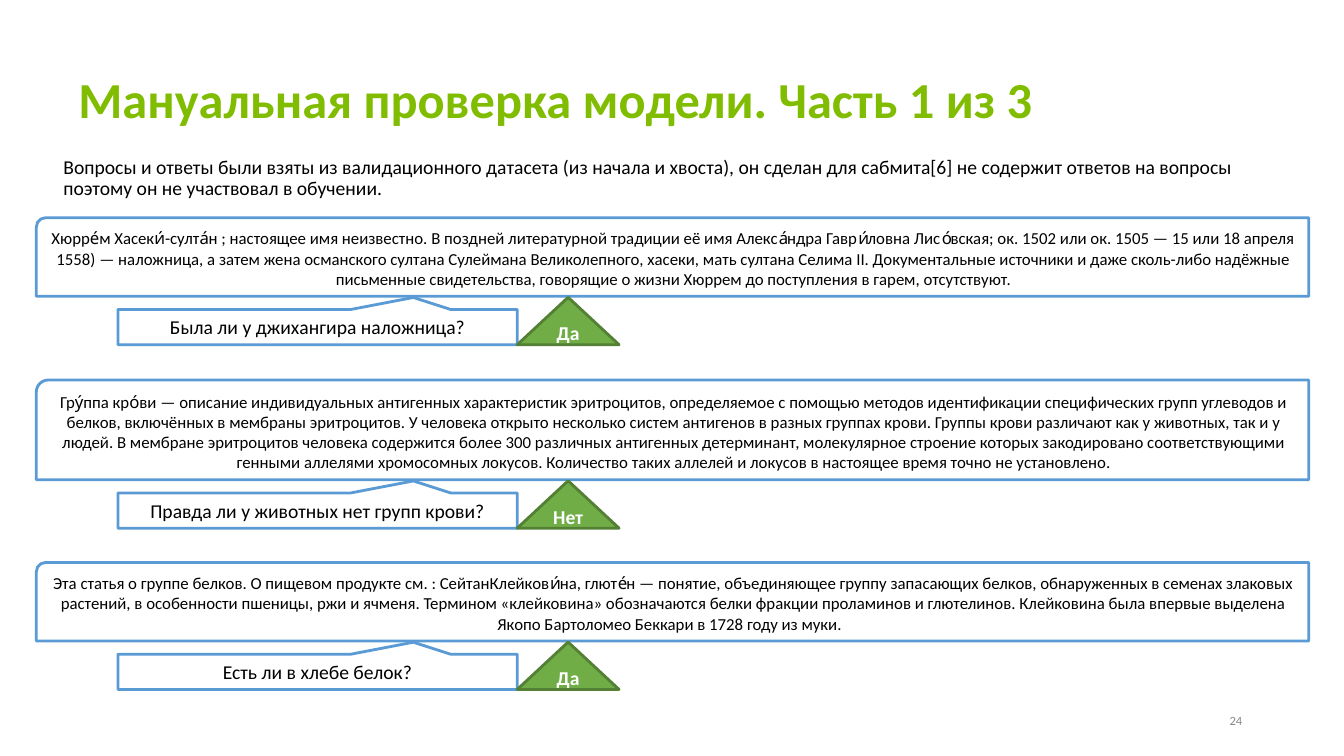
from pptx import Presentation
from pptx.dml.color import RGBColor
from pptx.enum.shapes import MSO_SHAPE
from pptx.enum.text import MSO_ANCHOR, PP_ALIGN
from pptx.util import Inches, Pt

LEFT, CENTER, RIGHT = PP_ALIGN.LEFT, PP_ALIGN.CENTER, PP_ALIGN.RIGHT
TOP, MIDDLE = MSO_ANCHOR.TOP, MSO_ANCHOR.MIDDLE
SNIP_ROUND = MSO_SHAPE.SNIP_ROUND_RECTANGLE
CALLOUT = MSO_SHAPE.RECTANGULAR_CALLOUT
TRIANGLE = MSO_SHAPE.ISOSCELES_TRIANGLE

# Content
TITLE = "Мануальная проверка модели. Часть 1 из 3"
INTRO = (
    "Вопросы и ответы были взяты из валидационного датасета (из начала и хвоста), "
    "он сделан для сабмита[6] не содержит ответов на вопросы поэтому он не "
    "участвовал в обучении."
)
PAGE_NUMBER = "24"
CHECKS = [
    {
        "top": 2.16, "height": 0.78,
        "passage": (
            "Хюрре́м Хасеки́-султа́н ; настоящее имя неизвестно. В поздней литературной "
            "традиции её имя Алекса́ндра Гаври́ловна Лисо́вская; ок. 1502 или ок. 1505 — "
            "15 или 18 апреля 1558) — наложница, а затем жена османского султана "
            "Сулеймана Великолепного, хасеки, мать султана Селима II. Документальные "
            "источники и даже сколь-либо надёжные письменные свидетельства, говорящие "
            "о жизни Хюррем до поступления в гарем, отсутствуют."
        ),
        "question": "Была ли у джихангира наложница?",
        "answer": "Да",
    },
    {
        "top": 3.77, "height": 0.99,
        "passage": (
            "Гру́ппа кро́ви — описание индивидуальных антигенных характеристик "
            "эритроцитов, определяемое с помощью методов идентификации специфических "
            "групп углеводов и белков, включённых в мембраны эритроцитов. У человека "
            "открыто несколько систем антигенов в разных группах крови. Группы крови "
            "различают как у животных, так и у людей. В мембране эритроцитов человека "
            "содержится более 300 различных антигенных детерминант, молекулярное "
            "строение которых закодировано соответствующими генными аллелями "
            "хромосомных локусов. Количество таких аллелей и локусов в настоящее "
            "время точно не установлено."
        ),
        "question": "Правда ли у животных нет групп крови?",
        "answer": "Нет",
    },
    {
        "top": 5.58, "height": 0.78,
        "passage": (
            "Эта статья о группе белков. О пищевом продукте см. : СейтанКлейкови́на, "
            "глюте́н — понятие, объединяющее группу запасающих белков, обнаруженных в "
            "семенах злаковых растений, в особенности пшеницы, ржи и ячменя. Термином "
            "«клейковина» обозначаются белки фракции проламинов и глютелинов. "
            "Клейковина была впервые выделена Якопо Бартоломео Беккари в 1728 году "
            "из муки.\t"
        ),
        "question": "Есть ли в хлебе белок?",
        "answer": "Да",
    },
]

# Style and layout, lengths in inches
FONT = "Calibri"
BLACK, WHITE, GRAY = "000000", "FFFFFF", "888888"
LIME, BLUE, GREEN, DARK_GREEN = "80BC00", "5B9BD5", "70AD47", "538035"
PASSAGE_LEFT, PASSAGE_WIDTH = 0.36, 12.62
QUESTION_LEFT, QUESTION_WIDTH, QUESTION_HEIGHT = 1.17, 3.96, 0.35
ANSWER_WIDTH, ANSWER_HEIGHT = 1.01, 0.47
QUESTION_DROP = 0.13  # from the passage's lower edge to the question box


def color(hex_value):
    return RGBColor.from_string(hex_value)


def write(shape, text, size=14, ink=BLACK, bold=False, align=LEFT,
          anchor=TOP, spacing=None):
    frame = shape.text_frame
    frame.word_wrap = True
    frame.vertical_anchor = anchor
    paragraph = frame.paragraphs[0]
    paragraph.alignment = align
    paragraph.line_spacing = spacing
    run = paragraph.add_run()
    run.text = text
    run.font.name = FONT
    run.font.size = Pt(size)
    run.font.bold = bold
    run.font.color.rgb = color(ink)


def add_text(slide, box, text, **style):
    write(slide.shapes.add_textbox(*map(Inches, box)), text, **style)


def add_box(slide, kind, box, text, fill=WHITE, line=BLUE, adjust=(), **style):
    shape = slide.shapes.add_shape(kind, *map(Inches, box))
    for index, value in enumerate(adjust):
        shape.adjustments[index] = value
    shape.shadow.inherit = False
    shape.fill.solid()
    shape.fill.fore_color.rgb = color(fill)
    shape.line.color.rgb = color(line)
    shape.line.width = Pt(2)
    write(shape, text, align=CENTER, anchor=MIDDLE, **style)


def add_check(slide, check):
    top, height = check["top"], check["height"]
    question_top = top + height + QUESTION_DROP
    answer_top = question_top + QUESTION_HEIGHT - ANSWER_HEIGHT
    answer_left = QUESTION_LEFT + QUESTION_WIDTH
    add_box(slide, SNIP_ROUND, (PASSAGE_LEFT, top, PASSAGE_WIDTH, height),
            check["passage"], adjust=(0.12, 0), size=12)
    add_box(slide, CALLOUT,
            (QUESTION_LEFT, question_top, QUESTION_WIDTH, QUESTION_HEIGHT),
            check["question"], adjust=(0.24, -0.84))
    add_box(slide, TRIANGLE,
            (answer_left, answer_top, ANSWER_WIDTH, ANSWER_HEIGHT),
            check["answer"], fill=GREEN, line=DARK_GREEN, ink=WHITE, bold=True)


def main():
    deck = Presentation()
    deck.slide_width, deck.slide_height = Inches(13.33), Inches(7.5)
    slide = deck.slides.add_slide(deck.slide_layouts[6])

    # Heading, introduction and page number
    add_text(slide, (0.68, 0.69, 12.23, 0.64), TITLE,
             size=36, ink=LIME, bold=True, spacing=0.9)
    add_text(slide, (0.53, 1.51, 11.88, 0.53), INTRO, spacing=0.9)
    add_text(slide, (11.67, 6.95, 0.75, 0.4), PAGE_NUMBER,
             size=9, ink=GRAY, align=RIGHT, anchor=MIDDLE)

    # Passages with their questions and answers
    for check in CHECKS:
        add_check(slide, check)

    deck.save("out.pptx")


if __name__ == "__main__":
    main()
